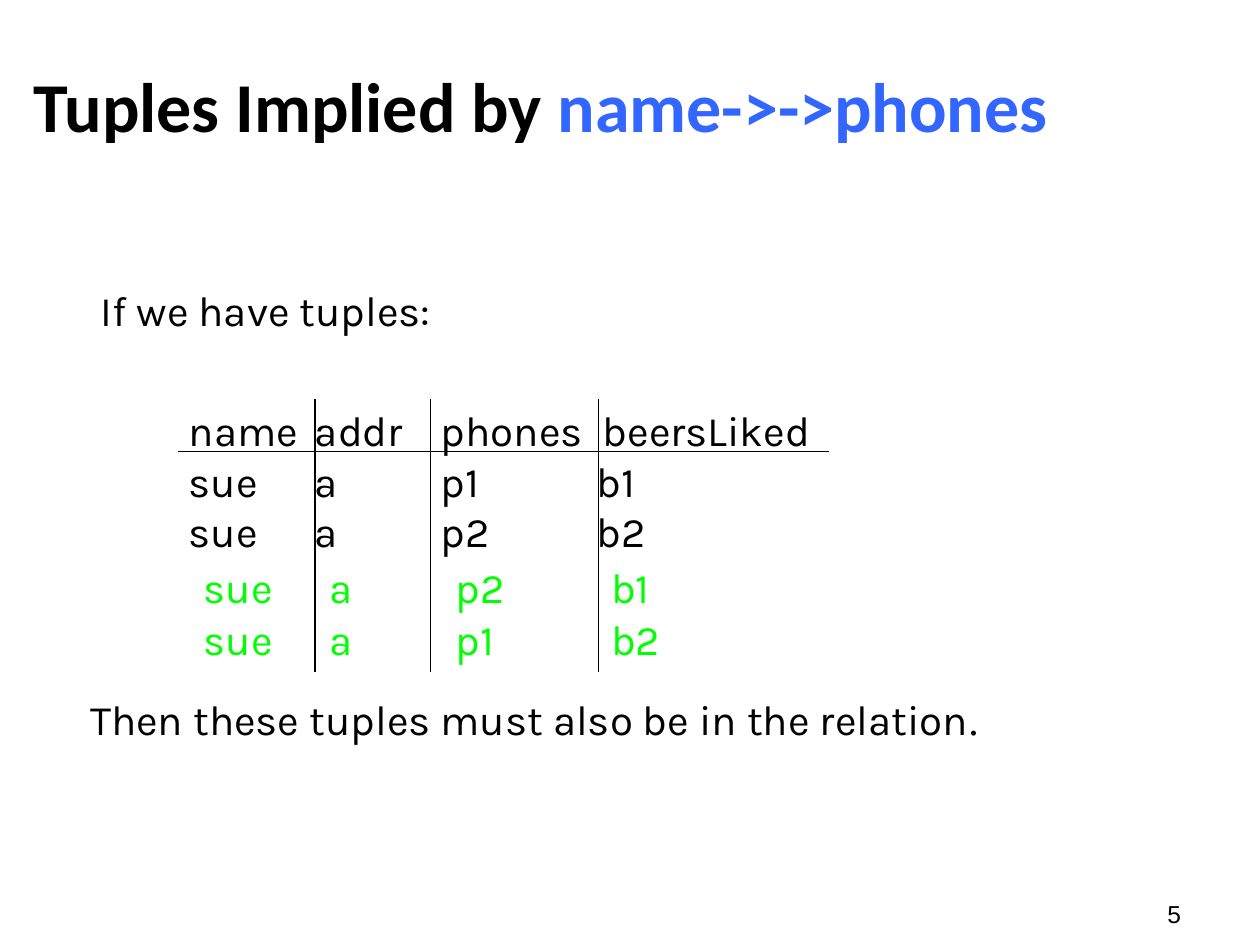
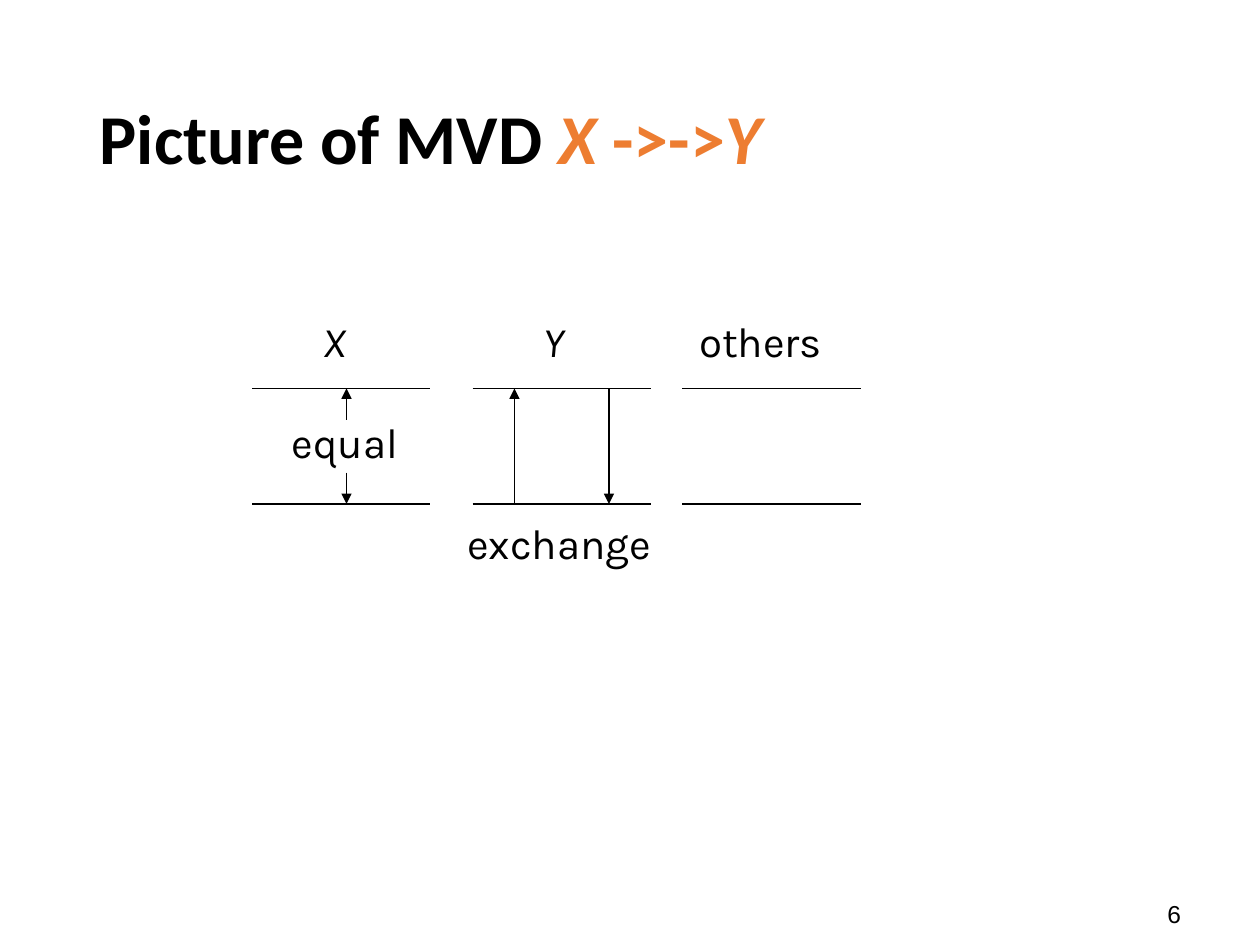
import pptx
import pptx.util
import pptx.dml.color
import pptx.enum.shapes
import pptx.enum.text
import lxml.etree
from pptx.oxml.ns import qn

RGB = pptx.dml.color.RGBColor
BLACK = RGB(0, 0, 0)
BLUE = RGB(0x33, 0x66, 0xFF)
GREEN = RGB(0, 0xFF, 0)
ORANGE = RGB(0xED, 0x7D, 0x31)
ANCHOR = pptx.enum.text.MSO_ANCHOR

# Page grid: 120 columns by 90 rows of square units
WIDE, HIGH = pptx.util.Inches(10), pptx.util.Inches(7.5)
UNIT = WIDE // 120
THIN = pptx.util.Pt(0.75)
PLAIN = "{2D5ABB26-0587-4C30-8999-92F81FD0307C}"


def grid(*units):
    return [round(unit * UNIT) for unit in units]


def write(frame, *runs, font="Karla", size=24, color=BLACK, bold=False):
    """Each run is a text, or a pair of text and its own format."""
    para = frame.paragraphs[0]
    para.alignment = pptx.enum.text.PP_ALIGN.LEFT
    for item in runs:
        text, own = (item, {}) if isinstance(item, str) else item
        run = para.add_run()
        run.text = text
        face = run.font
        face.name = own.get("font", font)
        face.size = pptx.util.Pt(size)
        face.bold = bold
        face.italic = own.get("italic", False)
        face.color.rgb = own.get("color", color)
    return para


def label(slide, box, *runs, wrap=False, **form):
    frame = slide.shapes.add_textbox(*grid(*box)).text_frame
    frame.word_wrap = wrap
    write(frame, *runs, **form)


def line(slide, start, end, arrow=False):
    shape = slide.shapes.add_connector(
        pptx.enum.shapes.MSO_CONNECTOR.STRAIGHT, *grid(*start, *end))
    shape.line.color.rgb = BLACK
    shape.line.width = THIN
    if arrow:
        lxml.etree.SubElement(shape.line._get_or_add_ln(), qn("a:tailEnd"), type="triangle")
    lxml.etree.SubElement(shape._element.spPr, qn("a:effectLst"))


def page(deck, number, box, *title):
    """Blank page with its title and page number."""
    slide = deck.slides.add_slide(deck.slide_layouts[5])
    head = slide.shapes.title
    head.left, head.top, head.width, head.height = grid(*box)
    head.text_frame.vertical_anchor = ANCHOR.MIDDLE
    para = write(head.text_frame, *title, font="Calibri", size=40, bold=True)
    para.line_spacing = 0.9
    label(slide, (110, 85, 7, 4), str(number), wrap=True, font="Arial", size=14)
    return slide


def tuples(slide, box):
    """Relation with given rows in black and implied rows in green."""
    left, top, width, height = box
    rows = [
        ("name", "addr", "phones", "beersLiked"),
        ("sue", "a", "p1", "b1"),
        ("sue", "a", "p2", "b2"),
        ("sue", "a", "p2", "b1"),
        ("sue", "a", "p1", "b2"),
    ]
    widths = (13, 11, 15.8, 22.2)
    heights = (5.55, 4.8, 4.8, 5.35, 4.9)
    insets = (1, 0, 1, 0)
    shift = 1.4  # implied rows stand further right

    table = slide.shapes.add_table(
        len(rows), len(widths), *grid(left, top, width, sum(heights))).table
    table._tbl.tblPr.find(qn("a:tableStyleId")).text = PLAIN
    table.first_row = table.horz_banding = False
    for column, size in zip(table.columns, grid(*widths)):
        column.width = size
    for row, size in zip(table.rows, grid(*heights)):
        row.height = size

    for r, row in enumerate(rows):
        new = r > 2
        for c, text in enumerate(row):
            cell = table.cell(r, c)
            cell.fill.background()
            inset = insets[c] + (shift if new else 0)
            if text == "beersLiked":
                inset = 0.6
            cell.margin_left = grid(inset)[0]
            cell.margin_right = cell.margin_top = cell.margin_bottom = 0
            cell.vertical_anchor = ANCHOR.BOTTOM
            write(cell.text_frame, text, color=GREEN if new else BLACK)

    # Rule through the header's foot, then rules between columns
    line(slide, (left, top + 5), (left + width, top + 5))
    for x in (13, 24, 40):
        line(slide, (left + x, top), (left + x, top + height))


def diagram(slide, box):
    """Two tuples as pairs of lines, with arrows for equal and exchange."""
    left, top, width, height = box
    low = top + height
    span = 17
    starts = (left, left + 21, left + width - span)

    for start in starts:
        for y in (top, low):
            line(slide, (start, y), (start + span, y))

    # Column heads and notes: offset from the box, text
    slant = {"italic": True}
    notes = [
        (5.5, -7.5, ("X", slant)),
        (26.6, -7.5, ("Y", slant)),
        (41.4, -7.5, "others"),
        (2.6, 2.1, "equal"),
        (19.3, 11.7, "exchange"),
    ]
    for x, y, text in notes:
        label(slide, (left + x, top + y, 20, 6), text)

    # Arrows: column, start row, end row
    arrows = [(9, 3, 0), (9, 8, height), (25, height, 0), (34, 0, height)]
    for x, start, end in arrows:
        line(slide, (left + x, top + start), (left + x, top + end), arrow=True)


def main():
    deck = pptx.Presentation()
    deck.slide_width, deck.slide_height = WIDE, HIGH

    slide = page(deck, 5, (2, 3, 120, 15), "Tuples Implied by ",
                 ("name->->phones", {"color": BLUE}))
    label(slide, (8.4, 26.5, 35, 6), "If we have tuples:")
    tuples(slide, (17, 38, 62, 26))
    label(slide, (7.4, 65.5, 89, 6), "Then these tuples must also be in the relation",
          (".", {"font": "Times New Roman"}))

    slide = page(deck, 6, (8.3, 4.8, 103.6, 17.4), "Picture of MVD ",
                 ("X ", {"color": ORANGE, "italic": True}),
                 ("->->", {"color": ORANGE}),
                 ("Y", {"color": ORANGE, "italic": True}))
    diagram(slide, (24, 37, 58, 11))

    deck.save("out.pptx")


if __name__ == "__main__":
    main()
